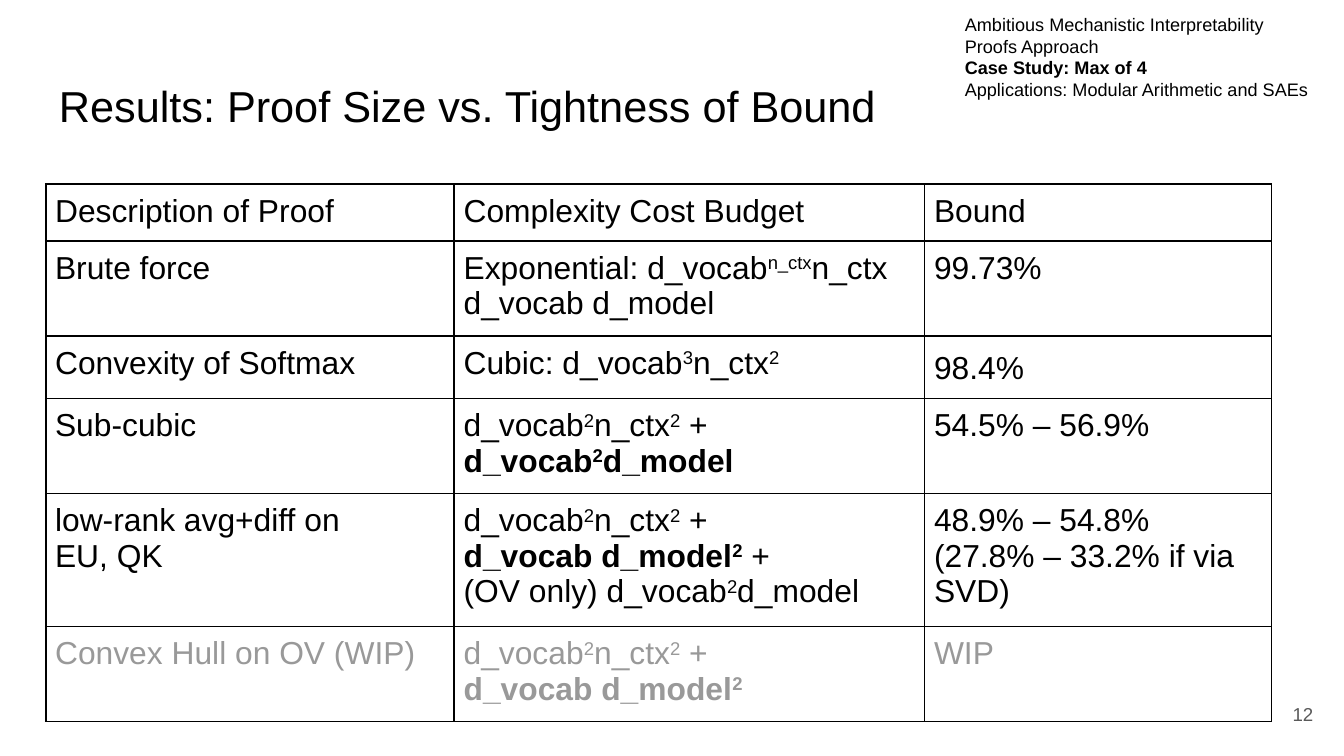
from dataclasses import dataclass

from lxml import etree
from pptx import Presentation
from pptx import util as u
from pptx.dml import color
from pptx.enum import text
from pptx.oxml import ns

BLACK = color.RGBColor(0x00, 0x00, 0x00)
GREY = color.RGBColor(0x99, 0x99, 0x99)
SLATE = color.RGBColor(0x59, 0x59, 0x59)

WIDTHS = (3.04, 3.5, 2.58)
HEIGHT = 0.42
FRAME = 3.28
PAD = 0.07
SIDES = ("left", "right", "top", "bottom")
SUM = "d_vocab^2^n_ctx^2^ +"


@dataclass
class Box:
    left: float
    top: float
    width: float
    height: float
    lines: tuple[str, ...]
    size: float
    tint: color.RGBColor = BLACK
    align: text.PP_ALIGN = text.PP_ALIGN.LEFT
    anchor: text.MSO_ANCHOR = text.MSO_ANCHOR.TOP


@dataclass
class Row:
    proof: str
    cost: str
    bound: tuple[str, ...]
    tint: color.RGBColor = BLACK
    space: float | None = None


BOXES = (
    Box(0.34, 0.49, 9.32, 0.63, ("Results: Proof Size vs. Tightness of Bound",), 23.2),
    Box(9.27, 5.1, 0.6, 0.43, ("12",), 10, SLATE,
        text.PP_ALIGN.RIGHT, text.MSO_ANCHOR.MIDDLE),
    Box(7.08, 0, 2.92, 0.76, (
        "Ambitious Mechanistic Interpretability",
        "Proofs Approach",
        "*Case Study: Max of 4*",
        "Applications: Modular Arithmetic and SAEs"), 9.7),
)

ROWS = (
    Row("Description of Proof", "Complexity Cost Budget", ("Bound",)),
    Row("Brute force", "Exponential: d_vocab^n_ctx^n_ctx d_vocab d_model", ("99.73%",)),
    Row("Convexity of Softmax", "Cubic: d_vocab^3^n_ctx^2^", ("98.4%",), space=1.15),
    Row("Sub-cubic", f"{SUM} *d_vocab^2^d_model*", ("54.5% – 56.9%",)),
    Row("low-rank avg+diff on\nEU, QK",
        f"{SUM}\n*d_vocab d_model^2^* +\n(OV only) d_vocab^2^d_model",
        ("48.9% – 54.8%", "(27.8% – 33.2% if via SVD)")),
    Row("Convex Hull on OV (WIP)", f"{SUM}\n*d_vocab d_model^2^*", ("WIP",), GREY),
)


def set_all(item, form: dict) -> None:
    for name, value in form.items():
        setattr(item, name, value)


def add_runs(para, line: str, size: float, tint: color.RGBColor) -> None:
    """Write a line where *bold* and ^raised^ mark the styled parts."""
    bold = False
    for row, part in enumerate(line.split("\n")):
        if row:
            para.add_line_break()
        for i, chunk in enumerate(part.split("*")):
            bold = i % 2 == 1
            for j, bit in enumerate(chunk.split("^")):
                if not bit:
                    continue
                run = para.add_run()
                run.text = bit
                set_all(run.font, {"name": "Arial", "size": u.Pt(size), "bold": bold})
                run.font.color.rgb = tint
                if j % 2:
                    run.font._element.set("baseline", "30000")
    for rest in para._p.findall(ns.qn("a:br")):
        etree.SubElement(rest, ns.qn("a:rPr"), sz=str(round(size * 100)))
    etree.SubElement(para._p, ns.qn("a:endParaRPr"), sz=str(round(size * 100)))


def fill_frame(frame, lines: tuple[str, ...], size: float, tint: color.RGBColor,
               form: dict) -> None:
    for i, line in enumerate(lines):
        para = frame.add_paragraph() if i else frame.paragraphs[0]
        set_all(para, form)
        add_runs(para, line, size, tint)


def add_box(slide, box: Box) -> None:
    place = map(u.Inches, (box.left, box.top, box.width, box.height))
    frame = slide.shapes.add_textbox(*place).text_frame
    set_all(frame, {f"margin_{side}": u.Inches(0.1) for side in SIDES})
    set_all(frame, {"word_wrap": True, "vertical_anchor": box.anchor})
    fill_frame(frame, box.lines, box.size, box.tint, {"alignment": box.align})


def add_edges(cell) -> None:
    props = cell._tc.get_or_add_tcPr()
    for tag in ("a:lnL", "a:lnR", "a:lnT", "a:lnB"):
        line = etree.SubElement(props, ns.qn(tag), w=str(int(u.Pt(1))))
        fill = etree.SubElement(line, ns.qn("a:solidFill"))
        etree.SubElement(fill, ns.qn("a:srgbClr"), val=str(BLACK))


def add_grid(slide, rows: tuple[Row, ...]) -> None:
    place = map(u.Inches, (0.34, 1.37, FRAME, FRAME))
    shape = slide.shapes.add_table(len(rows), len(WIDTHS), *place)
    grid = shape.table
    set_all(grid, {"first_row": False, "horz_banding": False})
    for col, width in zip(grid.columns, WIDTHS):
        col.width = u.Inches(width)
    for i, row in enumerate(rows):
        grid.rows[i].height = u.Inches(HEIGHT)
        cells = (((row.proof,), None), ((row.cost,), None), (row.bound, row.space))
        for j, (lines, space) in enumerate(cells):
            cell = grid.cell(i, j)
            set_all(cell, {f"margin_{side}": u.Inches(PAD) for side in SIDES})
            add_edges(cell)
            cell.fill.background()
            fill_frame(cell.text_frame, lines, 17, row.tint, {"line_spacing": space})
    set_all(shape, {"width": u.Inches(FRAME), "height": u.Inches(FRAME)})


def main() -> None:
    deck = Presentation()
    wide = u.Inches(10)
    set_all(deck, {"slide_width": wide, "slide_height": u.Emu(wide * 9 // 16)})
    slide = deck.slides.add_slide(deck.slide_layouts[6])
    for box in BOXES:
        add_box(slide, box)
    add_grid(slide, ROWS)
    deck.save("out.pptx")


if __name__ == "__main__":
    main()
